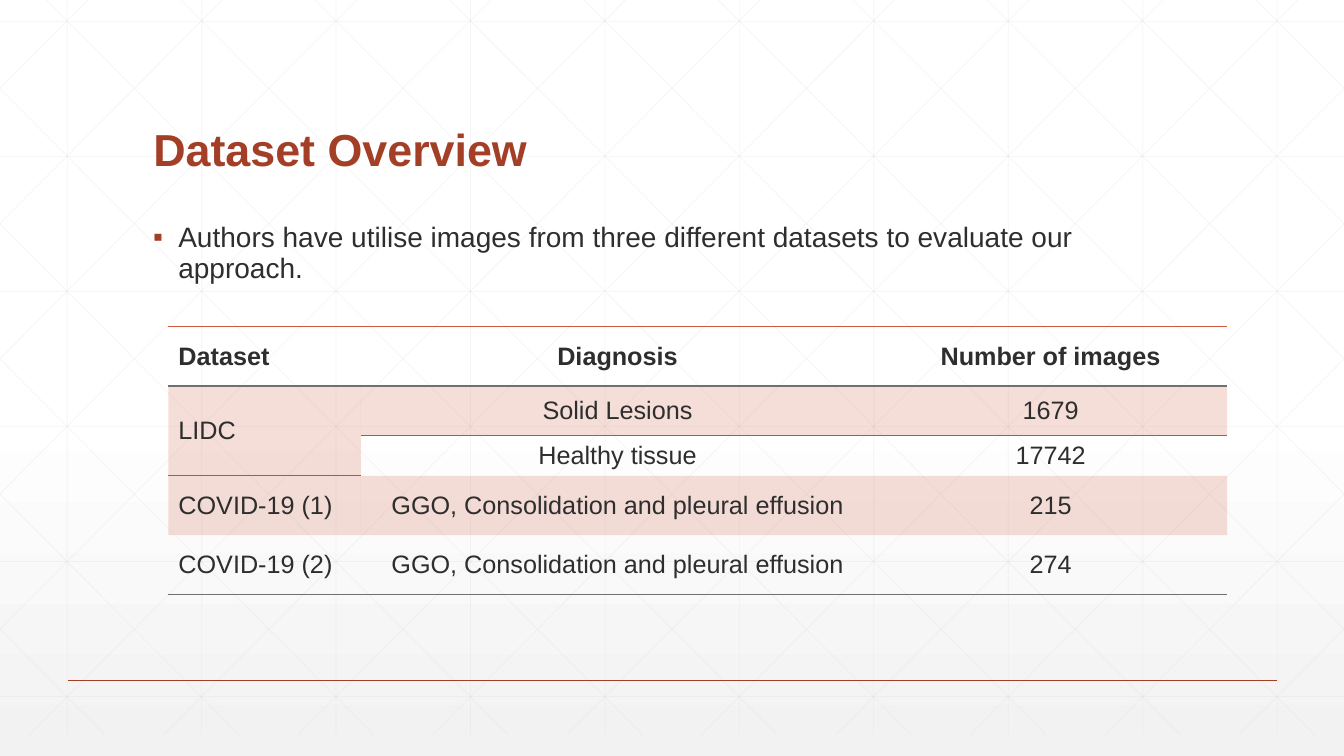
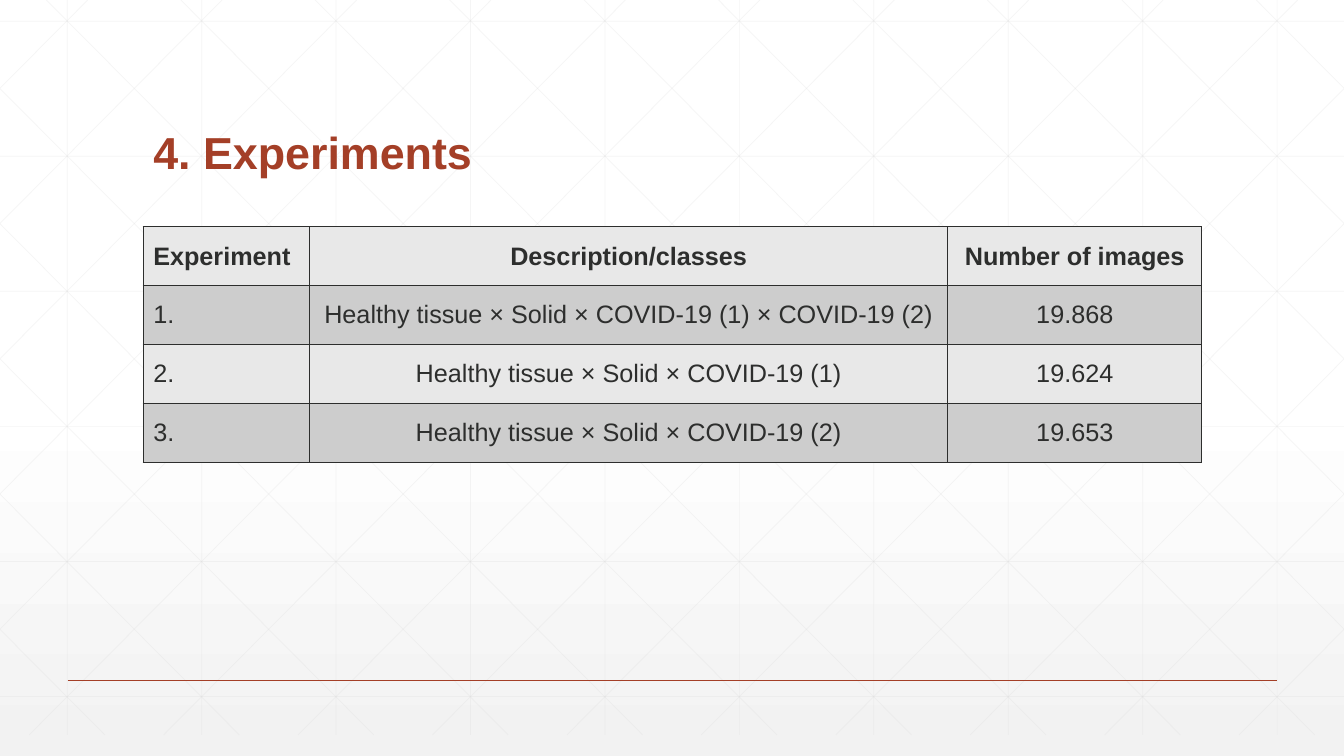
import dataclasses

import pptx
import pptx.dml.color
import pptx.enum.shapes
import pptx.enum.text
import pptx.oxml
import pptx.oxml.ns
import pptx.util
from lxml import etree

Inches, Pt = pptx.util.Inches, pptx.util.Pt
RGB = pptx.dml.color.RGBColor.from_string
qn = pptx.oxml.ns.qn
PP_ALIGN = pptx.enum.text.PP_ALIGN
ANCHOR = pptx.enum.text.MSO_ANCHOR


@dataclasses.dataclass(frozen=True)
class Theme:
    font: str = "Arial"
    title_size: int = 32
    body_size: int = 20
    table_size: int = 18
    accent: str = "A43F27"
    band: str = "D15A3E"
    ink: str = "2D2E2D"
    rule: str = "707070"
    grid: str = "D9D9D9"
    top: str = "FFFFFF"
    bottom: str = "F2F2F2"
    light: str = "E8E8E8"
    dark: str = "CDCDCD"


T = Theme()
WIDTH, HEIGHT = 13.33, 7.5
MARGIN, CONTENT_W = 1.42, 10.5
NO_STYLE = "{2D5ABB26-0587-4C30-8999-92F81FD0307C}"

GRID_BOTTOM = 7.29
GRID_STEP = 4 / 3
ROW_STEP = 1.34
DIAGONAL_START = 0.46
DIAGONAL_RUN = 0.994

SLIDES = [
    {
        "title": "Dataset Overview",
        "title_top": 0.55,
        "bullet": "Authors have utilise images from three different datasets to evaluate our approach.",
        "table": {
            "at": (1.67, 3.24),
            "cols": [1.91, 5.09, 3.5],
            "rows": [0.59, 0.49, 0.39, 0.59, 0.59],
            "cells": [
                ["Dataset", "Diagnosis", "Number of images"],
                ["LIDC", "Solid Lesions", "1679"],
                ["", "Healthy tissue", "17742"],
                ["COVID-19 (1)", "GGO, Consolidation and pleural effusion", "215"],
                ["COVID-19 (2)", "GGO, Consolidation and pleural effusion", "274"],
            ],
            "merge": ((1, 0), (2, 0)),
            "fills": [None, T.band, None, T.band, None],
            "alpha": 20,
            "borders": {0: {"T": T.band, "B": T.rule}, 1: {"T": T.rule}, 4: {"B": T.rule}},
        },
    },
    {
        "title": "4. Experiments",
        "title_top": 0.58,
        "table": {
            "at": (MARGIN, 2.25),
            "cols": [1.65, 6.33, 2.52],
            "rows": [0.585] * 4,
            "cells": [
                ["Experiment", "Description/classes", "Number of images"],
                ["1.", "Healthy tissue × Solid × COVID-19 (1) × COVID-19 (2)", "19.868"],
                ["2.", "Healthy tissue × Solid × COVID-19 (1)", "19.624"],
                ["3.", "Healthy tissue × Solid × COVID-19 (2)", "19.653"],
            ],
            "fills": [T.light, T.dark] * 2,
            "borders": {row: dict.fromkeys("LRTB", T.ink) for row in range(4)},
        },
    },
]


def set_alpha(fill_parent, percent):
    for clr in fill_parent.iter(qn("a:srgbClr")):
        etree.SubElement(clr, qn("a:alpha"), val=str(percent * 1000))


def style_text(p, size, color, bold=False):
    for r in p.runs:
        r.font.name = T.font
        r.font.size = Pt(size)
        r.font.bold = bold
        r.font.color.rgb = RGB(color)


def add_line(shapes, start, end, color, width, alpha=None):
    points = [Inches(v) for v in (*start, *end)]
    line = shapes.add_connector(pptx.enum.shapes.MSO_CONNECTOR.STRAIGHT, *points)
    line.line.color.rgb = RGB(color)
    line.line.width = Pt(width)
    props = line.element.spPr
    if alpha:
        set_alpha(props, alpha)
    etree.SubElement(props, qn("a:effectLst"))


def grid_lines():
    for i in range(10):
        x = GRID_STEP * (i + 0.5)
        yield (x, 0), (x, GRID_BOTTOM)
    for i in range(6):
        y = 0.21 + ROW_STEP * i
        yield (0, y), (WIDTH, y)
    for i in range(-5, 10):
        x0 = DIAGONAL_START + GRID_STEP * i
        y1 = max(0, -x0 / DIAGONAL_RUN)
        y2 = min(GRID_BOTTOM, (WIDTH - x0) / DIAGONAL_RUN)
        ends = [(x0 + DIAGONAL_RUN * y, y) for y in (y1, y2)]
        yield ends
        yield [(WIDTH - x, y) for x, y in ends]


def build_master(prs, s):
    master = prs.slide_master
    fill = master.background.fill
    fill.gradient()
    fill.gradient_angle = 270
    for stop, position, color in zip(fill.gradient_stops, (0.53, 1), (T.top, T.bottom)):
        stop.position = position
        stop.color.rgb = RGB(color)
    group = s.shapes.add_group_shape()
    for start, end in grid_lines():
        add_line(group.shapes, start, end, T.grid, 0.5, alpha=25)
    add_line(group.shapes, (0.67, 6.75), (12.67, 6.75), T.accent, 1)
    for number, props in enumerate(group.element.iter(qn("p:cNvPr")), 100):
        props.set("id", str(number))
    master.shapes.element.insert(2, group.element)


def add_title(s, text, top):
    title = s.shapes.title
    title.left, title.top = Inches(MARGIN), Inches(top)
    title.width, title.height = Inches(CONTENT_W), Inches(1.25)
    tf = title.text_frame
    tf.text = text
    tf.auto_size = pptx.enum.text.MSO_AUTO_SIZE.NONE
    tf.vertical_anchor = ANCHOR.BOTTOM
    p = tf.paragraphs[0]
    p.alignment = PP_ALIGN.LEFT
    p.line_spacing = 0.9
    style_text(p, T.title_size, T.accent, bold=True)


def add_bullet(s, text):
    box = s.shapes.add_textbox(Inches(MARGIN), Inches(2.17), Inches(CONTENT_W), Inches(0.92))
    tf = box.text_frame
    tf.word_wrap = True
    tf.text = text
    p = tf.paragraphs[0]
    p.line_spacing = 0.9
    style_text(p, T.body_size, T.ink)
    props = p._p.get_or_add_pPr()
    props.set("marL", str(Inches(0.25)))
    props.set("indent", str(-Inches(0.25)))
    color = etree.SubElement(props, qn("a:buClr"))
    etree.SubElement(color, qn("a:srgbClr"), val=T.accent)
    etree.SubElement(props, qn("a:buFont"), typeface=T.font)
    etree.SubElement(props, qn("a:buChar"), char="▪")


def add_borders(props, borders):
    for side in "LRTB":
        if side in borders:
            ln = etree.SubElement(props, qn("a:ln" + side), w=str(Pt(1)))
            fill = etree.SubElement(ln, qn("a:solidFill"))
            etree.SubElement(fill, qn("a:srgbClr"), val=borders[side])


def add_table(s, data):
    left, top = data["at"]
    cols, rows = data["cols"], data["rows"]
    frame = s.shapes.add_table(
        len(rows), len(cols), Inches(left), Inches(top), Inches(sum(cols)), Inches(sum(rows))
    )
    table = frame.table
    table.horz_banding = False
    for style in frame.element.iter(qn("a:tableStyleId")):
        style.text = NO_STYLE
    for col, width in zip(table.columns, cols):
        col.width = Inches(width)
    for i, (row, height) in enumerate(zip(table.rows, rows)):
        row.height = Inches(height)
        for j, cell in enumerate(row.cells):
            cell.text = data["cells"][i][j]
            cell.vertical_anchor = ANCHOR.MIDDLE
            p = cell.text_frame.paragraphs[0]
            p.alignment = PP_ALIGN.CENTER if j else PP_ALIGN.LEFT
            style_text(p, T.table_size, T.ink, bold=i == 0)
            props = cell._tc.get_or_add_tcPr()
            add_borders(props, data["borders"].get(i, {}))
            if data["fills"][i]:
                cell.fill.solid()
                cell.fill.fore_color.rgb = RGB(data["fills"][i])
                if "alpha" in data:
                    set_alpha(props.find(qn("a:solidFill")), data["alpha"])
            else:
                cell.fill.background()
    if "merge" in data:
        first, last = data["merge"]
        table.cell(*first).merge(table.cell(*last))


def main():
    prs = pptx.Presentation()
    prs.slide_width, prs.slide_height = Inches(WIDTH), Inches(HEIGHT)
    for number, content in enumerate(SLIDES):
        s = prs.slides.add_slide(prs.slide_layouts[5])
        if number == 0:
            build_master(prs, s)
        add_title(s, content["title"], content["title_top"])
        if "bullet" in content:
            add_bullet(s, content["bullet"])
        add_table(s, content["table"])
    prs.save("out.pptx")


if __name__ == "__main__":
    main()
